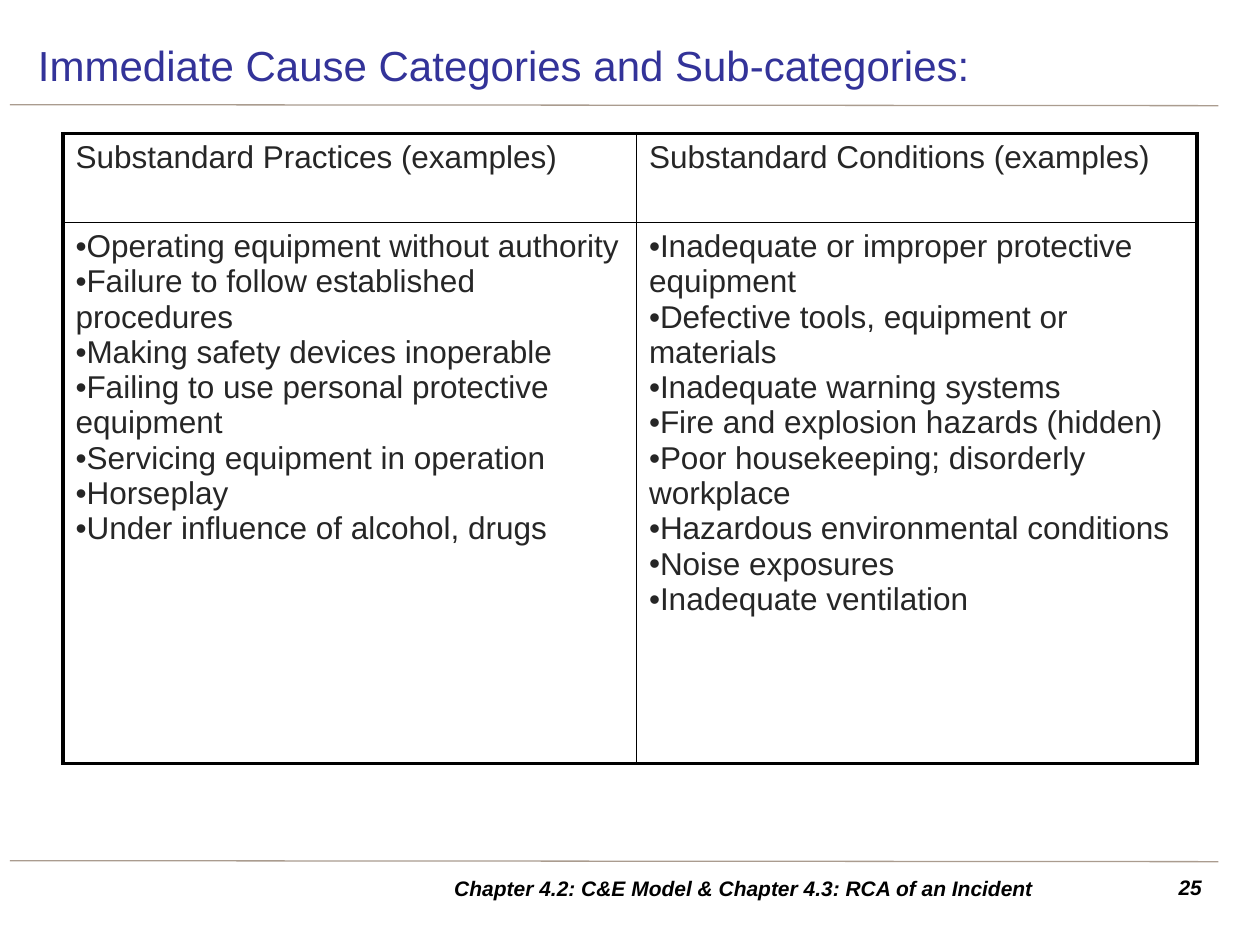
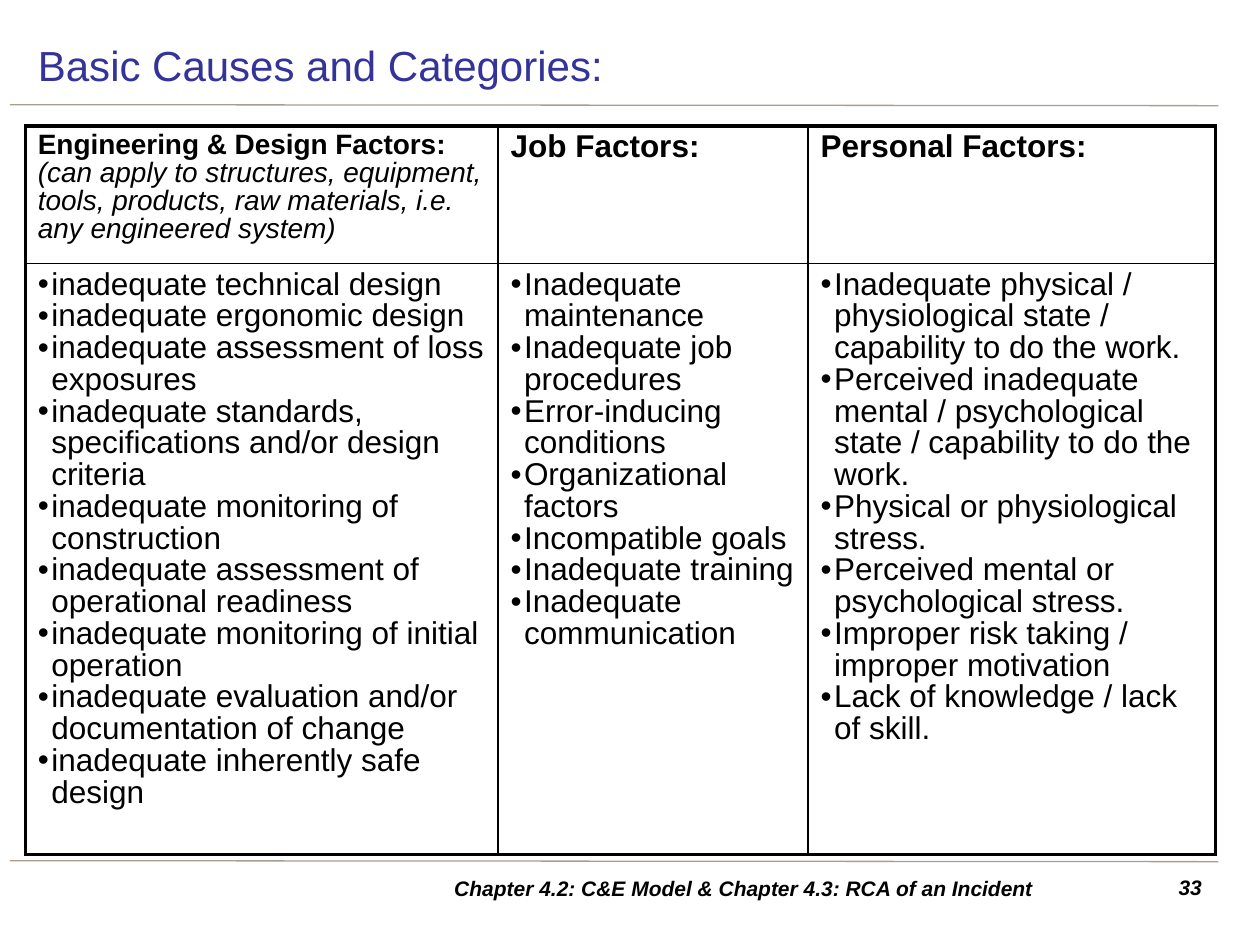
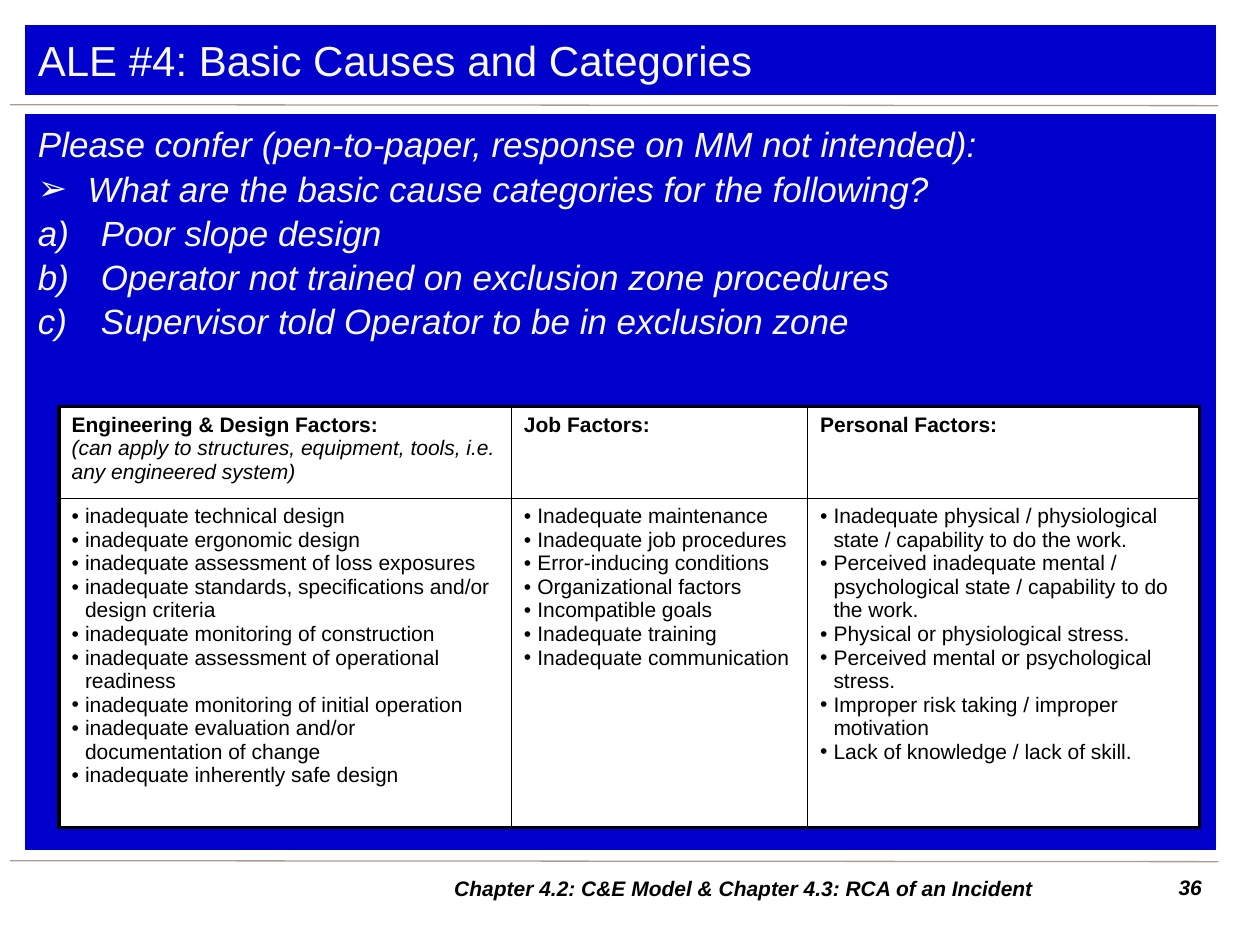
from dataclasses import dataclass

from lxml import etree
from pptx import Presentation
from pptx.dml.color import RGBColor
from pptx.enum import shapes, text
from pptx.oxml.ns import qn
from pptx.util import Cm, Pt


@dataclass(frozen=True)
class Theme:
    font: str = "Arial"
    ink: str = "000000"
    grey_ink: str = "262626"
    title: str = "333399"
    panel: str = "0000CC"
    light: str = "F8F8F8"
    paper: str = "FFFFFF"
    rule: str = "AA9C8F"
    title_size: int = 24
    body_size: int = 20
    table_size: int = 18
    note_size: int = 16
    small_size: int = 12


theme = Theme()


def write(paragraph, content, size=theme.small_size, color=theme.ink, bold=False,
          italic=False, align=text.PP_ALIGN.LEFT, spacing=1.0, bullet=None, indent=0):
    """Add a formatted run; bullet is a character, or "auto" for a), b), c)."""
    run = paragraph.add_run()
    run.text = content
    run.font.name = theme.font
    run.font.size = Pt(size)
    run.font.bold = bold
    run.font.italic = italic
    run.font.color.rgb = RGBColor.from_string(color)
    paragraph.alignment = align
    paragraph.line_spacing = spacing
    paragraph.space_before = Pt(0)
    properties = paragraph._p.get_or_add_pPr()
    properties.set("marL", str(Cm(indent)))
    properties.set("indent", str(-Cm(indent)))
    for old in properties.xpath("a:buNone"):
        properties.remove(old)
    if bullet == "auto":
        etree.SubElement(properties, qn("a:buAutoNum"), type="alphaLcParenR")
    elif bullet:
        etree.SubElement(properties, qn("a:buFont"), typeface=theme.font)
        etree.SubElement(properties, qn("a:buChar"), char=bullet)
    else:
        etree.SubElement(properties, qn("a:buNone"))


def add_cause_table(slide, left, top, widths, heights, headers, lists,
                    size, note_size=theme.small_size, color=theme.ink, bold=True,
                    spacing=1.0, indent=0.27):
    """Headers are (heading, note) pairs; lists hold the bullets of each column."""
    frame = slide.shapes.add_table(2, len(widths), Cm(left), Cm(top),
                                   Cm(sum(widths)), Cm(sum(heights)))
    table = frame.table
    table.first_row = table.horz_banding = False
    for row, height in zip(table.rows, heights):
        row.height = Cm(height)
    for index, width in enumerate(widths):
        table.columns[index].width = Cm(width)

        # Heading, with an optional note below it
        heading, note = headers[index]
        paragraph = table.cell(0, index).text_frame.paragraphs[0]
        write(paragraph, heading, size=note_size if note else size, color=color,
              bold=bold, spacing=spacing)
        if note:
            paragraph.add_line_break()
            write(paragraph, note, size=note_size, color=color, italic=True, spacing=spacing)

        # Bulleted list
        text_frame = table.cell(1, index).text_frame
        for number, item in enumerate(lists[index]):
            paragraph = text_frame.add_paragraph() if number else text_frame.paragraphs[0]
            write(paragraph, item, size=size, color=color, spacing=spacing,
                  bullet="•", indent=indent)

        # Thick outer borders, thin inner ones
        for row_index in range(2):
            cell = table.cell(row_index, index)
            outer_sides = {"L": index == 0, "R": index == len(widths) - 1,
                           "T": row_index == 0, "B": row_index == 1}
            for side, outer in outer_sides.items():
                border = etree.SubElement(cell._tc.get_or_add_tcPr(), qn(f"a:ln{side}"),
                                          w=str(Pt(2 if outer else 1)))
                fill = etree.SubElement(border, qn("a:solidFill"))
                etree.SubElement(fill, qn("a:srgbClr"), val=theme.ink)
            cell.fill.solid()
            cell.fill.fore_color.rgb = RGBColor.from_string(theme.paper)


# Content
practices = [
    "Operating equipment without authority",
    "Failure to follow established procedures",
    "Making safety devices inoperable",
    "Failing to use personal protective equipment",
    "Servicing equipment in operation",
    "Horseplay",
    "Under influence of alcohol, drugs",
]
conditions = [
    "Inadequate or improper protective equipment",
    "Defective tools, equipment or materials",
    "Inadequate warning systems",
    "Fire and explosion hazards (hidden)",
    "Poor housekeeping; disorderly workplace",
    "Hazardous environmental conditions",
    "Noise exposures",
    "Inadequate ventilation",
]
engineering_factors = [
    "inadequate technical design",
    "inadequate ergonomic design",
    "inadequate assessment of loss exposures",
    "inadequate standards, specifications and/or design criteria",
    "inadequate monitoring of construction",
    "inadequate assessment of operational readiness",
    "inadequate monitoring of initial operation",
    "inadequate evaluation and/or documentation of change",
    "inadequate inherently safe design",
]
job_factors = [
    "Inadequate maintenance",
    "Inadequate job procedures",
    "Error-inducing conditions",
    "Organizational factors",
    "Incompatible goals",
    "Inadequate training",
    "Inadequate communication",
]
personal_factors = [
    "Inadequate physical / physiological state / capability to do the work.",
    "Perceived inadequate mental / psychological state / capability to do the work.",
    "Physical or physiological stress.",
    "Perceived mental or psychological stress.",
    "Improper risk taking / improper motivation",
    "Lack of knowledge / lack of skill.",
]
factor_lists = [engineering_factors, job_factors, personal_factors]
engineering_heading = "Engineering & Design Factors: "
other_headers = [("Job Factors:", None), ("Personal Factors:", None)]
footer = "Chapter 4.2: C&E Model & Chapter 4.3: RCA of an Incident"

presentation = Presentation()
presentation.slide_width = Cm(25.4)
presentation.slide_height = Cm(19.05)
title_and_content, title_only = presentation.slide_layouts[1], presentation.slide_layouts[5]

# Shared frame: title, rules, footer and slide number
slides = []
for layout, title, title_top, title_color, page in [
    (title_only, "Immediate Cause Categories and Sub-categories:", 0.61, theme.title, "25"),
    (title_only, "Basic Causes and Categories:", 0.61, theme.title, "33"),
    (title_and_content, "ALE #4: Basic Causes and Categories", 0.51, theme.light, "36"),
]:
    slide = presentation.slides.add_slide(layout)
    slides.append(slide)
    shape = slide.shapes.title
    shape.left, shape.top, shape.width, shape.height = Cm(0.51), Cm(title_top), Cm(24), Cm(1.4)
    shape.text_frame.auto_size = text.MSO_AUTO_SIZE.NONE
    shape.text_frame.vertical_anchor = text.MSO_ANCHOR.MIDDLE
    write(shape.text_frame.paragraphs[0], title, size=theme.title_size, color=title_color)

    for rule_top in (2.11, 17.35):
        rule = slide.shapes.add_connector(shapes.MSO_CONNECTOR.STRAIGHT, Cm(0.2), Cm(rule_top),
                                          Cm(24.56), Cm(rule_top + 0.02))
        rule.line.color.rgb = RGBColor.from_string(theme.rule)
        rule.line.width = Pt(0.75)
        etree.SubElement(rule._element.spPr, qn("a:effectLst"))

    for content, left, width, align, anchor in [
        (footer, 7.49, 15.01, text.PP_ALIGN.CENTER, text.MSO_ANCHOR.MIDDLE),
        (page, 23.01, 1.47, text.PP_ALIGN.RIGHT, text.MSO_ANCHOR.TOP),
    ]:
        box = slide.shapes.add_textbox(Cm(left), Cm(17.5), Cm(width), Cm(0.79))
        box.text_frame.word_wrap = True
        box.text_frame.vertical_anchor = anchor
        write(box.text_frame.paragraphs[0], content, bold=True, italic=True, align=align)

immediate_slide, basic_slide, exercise_slide = slides

# Slide 1: immediate causes
add_cause_table(
    immediate_slide, 1.27, 2.69, [11.56, 11.3], [1.8, 10.9],
    [("Substandard Practices (examples)", None), ("Substandard Conditions (examples)", None)],
    [practices, conditions], theme.table_size, color=theme.grey_ink, bold=False, indent=0)

# Slide 2: basic causes
basic_note = ("(can apply to structures, equipment, tools, products, raw materials, "
              "i.e. any engineered system)")
add_cause_table(
    basic_slide, 0.51, 2.54, [9.53, 6.25, 8.22], [2.77, 11.02],
    [(engineering_heading, basic_note), *other_headers], factor_lists,
    theme.table_size, note_size=theme.note_size, spacing=0.9)

# Slide 3: exercise panel
body = exercise_slide.placeholders[1]
body.left, body.top, body.width, body.height = Cm(0.51), Cm(2.31), Cm(24), Cm(14.81)
body.text_frame.auto_size = text.MSO_AUTO_SIZE.NONE
for panel in (exercise_slide.shapes.title, body):
    panel.fill.solid()
    panel.fill.fore_color.rgb = RGBColor.from_string(theme.panel)
    panel.line.color.rgb = RGBColor.from_string(theme.panel)
    panel.line.width = Pt(0.75)
for number, (content, bullet, indent) in enumerate([
    ("Please confer (pen-to-paper, response on MM not intended):", None, 0),
    ("What are the basic cause categories for the following?", "➢", 1),
    ("Poor slope design", "auto", 1.27),
    ("Operator not trained on exclusion zone procedures", "auto", 1.27),
    ("Supervisor told Operator to be in exclusion zone", "auto", 1.27),
]):
    paragraph = body.text_frame.add_paragraph() if number else body.text_frame.paragraphs[0]
    write(paragraph, content, size=theme.body_size, color=theme.light, italic=True,
          spacing=1.05, bullet=bullet, indent=indent)

# Slide 3: reference table
exercise_note = "(can apply to structures, equipment, tools, i.e. any engineered system)"
add_cause_table(
    exercise_slide, 1.19, 8.2, [9.12, 5.97, 7.9], [1.85, 6.63],
    [(engineering_heading, exercise_note), *other_headers], factor_lists, theme.small_size)

presentation.save("out.pptx")
